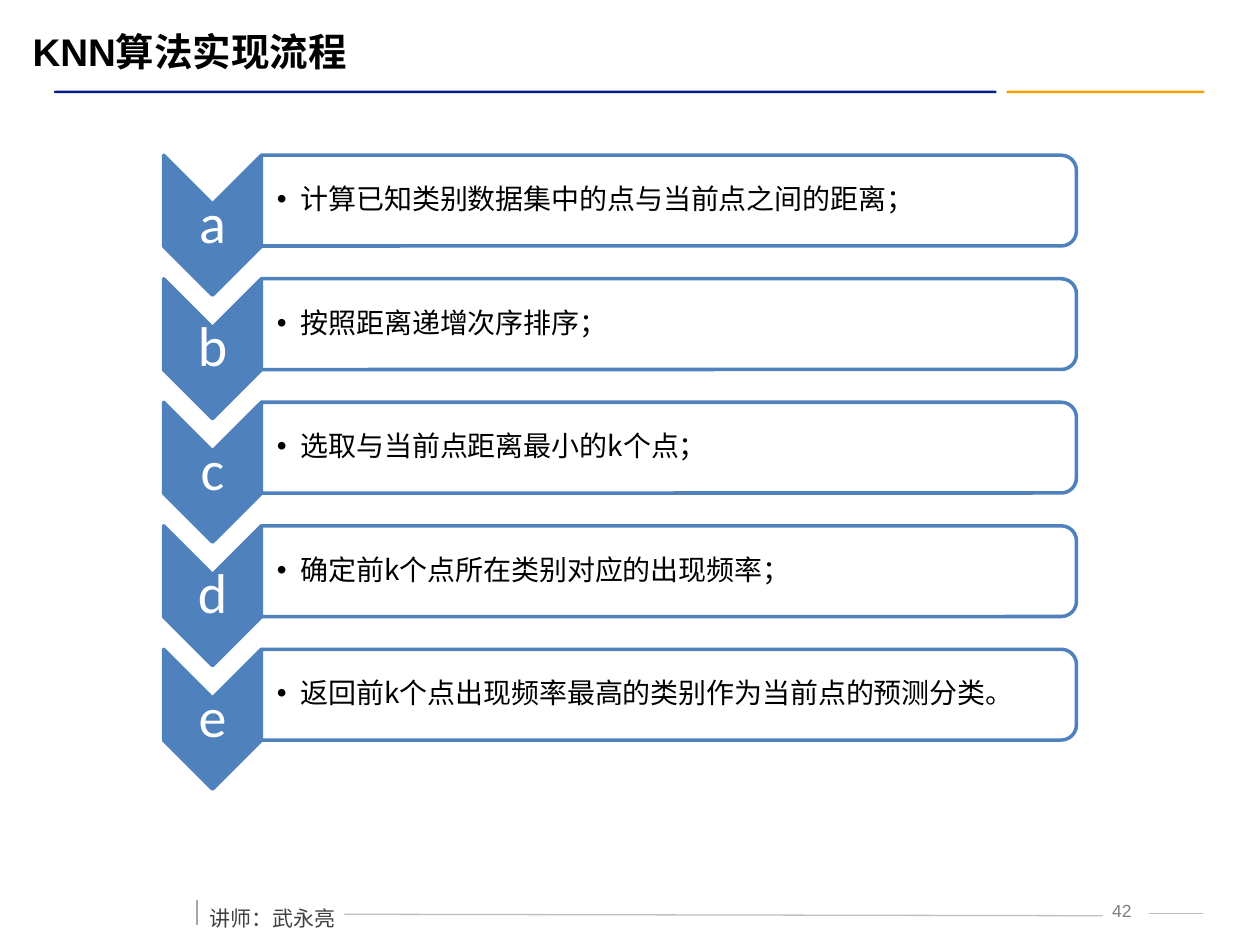
from dataclasses import dataclass

from lxml import etree
from pptx import Presentation
from pptx import util as u
from pptx.dml.color import RGBColor
from pptx.enum import shapes, text
from pptx.oxml.ns import qn

COLORS = {
    "navy": "031D89", "amber": "F5A000", "blue": "4F81BD", "white": "FFFFFF",
    "black": "000000", "footer": "404040", "number": "7F7F7F",
    "rule": "BFBFBF", "tick": "A6A6A6",
}
CHINESE_FONT = "Noto Sans CJK SC"
STEP_TOP, STEP_PITCH = 3.13, 2.49


@dataclass(frozen=True)
class Area:
    left: float
    top: float
    width: float
    height: float

    def lengths(self) -> list[u.Length]:
        return [u.Cm(value) for value in (self.left, self.top, self.width, self.height)]

    def before_quarter_turn(self) -> "Area":
        shift = (self.width - self.height) / 2
        return Area(self.left + shift, self.top - shift, self.height, self.width)


@dataclass(frozen=True)
class Step:
    letter: str
    wording: str


@dataclass(frozen=True)
class Rule:
    start: tuple[float, float]
    end: tuple[float, float]
    color: str


STEPS = [
    Step("a", "计算已知类别数据集中的点与当前点之间的距离；"),
    Step("b", "按照距离递增次序排序；"),
    Step("c", "选取与当前点距离最小的k个点；"),
    Step("d", "确定前k个点所在类别对应的出现频率；"),
    Step("e", "返回前k个点出现频率最高的类别作为当前点的预测分类。"),
]
RULES = [
    Rule((6.94, 18.43), (22.23, 18.46), "rule"),
    Rule((23.16, 18.41), (24.26, 18.41), "rule"),
    Rule((3.97, 18.15), (3.97, 18.65), "tick"),
]


def rgb(name: str) -> RGBColor:
    return RGBColor.from_string(COLORS[name])


def add_text(slide, area: Area, wording: str, *, size: float, color: str,
             font: str = CHINESE_FONT, bold: bool = False, align=text.PP_ALIGN.LEFT,
             anchor=text.MSO_ANCHOR.MIDDLE, insets=(0.25, 0.13, 0.25, 0.13),
             line_spacing: float = 1.0, space_before: float = 0,
             wrap: bool = True, bullet_indent: float = 0) -> None:
    frame = slide.shapes.add_textbox(*area.lengths()).text_frame
    frame.word_wrap = wrap
    frame.vertical_anchor = anchor
    (frame.margin_left, frame.margin_top,
     frame.margin_right, frame.margin_bottom) = map(u.Cm, insets)
    paragraph = frame.paragraphs[0]
    paragraph.alignment = align
    paragraph.line_spacing = line_spacing
    paragraph.space_before = u.Pt(space_before)
    run = paragraph.add_run()
    run.text = wording
    run.font.name = font
    run.font.size = u.Pt(size)
    run.font.bold = bold
    run.font.color.rgb = rgb(color)
    east_asian = etree.SubElement(run.font._element, qn("a:ea"))
    east_asian.set("typeface", CHINESE_FONT)
    if bullet_indent:
        properties = paragraph._p.get_or_add_pPr()
        properties.set("marL", str(u.Cm(bullet_indent)))
        properties.set("indent", str(-u.Cm(bullet_indent)))
        etree.SubElement(properties, qn("a:buFont")).set("typeface", "Arial")
        etree.SubElement(properties, qn("a:buChar")).set("char", "•")


def add_shape(slide, kind, area: Area, *, fill: str, line: str | None = None,
              quarter_turn: bool = False):
    placed = area.before_quarter_turn() if quarter_turn else area
    shape = slide.shapes.add_shape(kind, *placed.lengths())
    shape.rotation = 90 if quarter_turn else 0
    shape.shadow.inherit = False
    shape.fill.solid()
    shape.fill.fore_color.rgb = rgb(fill)
    if line:
        shape.line.color.rgb = rgb(line)
        shape.line.width = u.Pt(2)
    else:
        shape.line.fill.background()
    return shape


def add_rule(slide, rule: Rule) -> None:
    connector = slide.shapes.add_connector(
        shapes.MSO_CONNECTOR.STRAIGHT, *map(u.Cm, rule.start + rule.end))
    connector.line.color.rgb = rgb(rule.color)
    connector.line.width = u.Pt(0.75)
    etree.SubElement(connector._element.spPr, qn("a:effectLst"))


def add_step(slide, step: Step, top: float) -> None:
    add_shape(slide, shapes.MSO_SHAPE.CHEVRON, Area(3.3, top, 1.97, 2.82),
              fill="blue", line="blue", quarter_turn=True)
    add_text(slide, Area(3.3, top + 0.99, 1.97, 0.84), step.letter, size=32,
             color="white", font="Calibri", align=text.PP_ALIGN.CENTER,
             insets=(0.05,) * 4, line_spacing=0.9)
    box = add_shape(slide, shapes.MSO_SHAPE.ROUND_2_SAME_RECTANGLE,
                    Area(5.27, top, 16.43, 1.83), fill="white", line="blue",
                    quarter_turn=True)
    color = box.fill._xPr.find(qn("a:solidFill"))[0]
    etree.SubElement(color, qn("a:alpha")).set("val", "90000")
    add_text(slide, Area(5.27, top + 0.09, 16.34, 1.65), step.wording, size=16,
             color="black", insets=(0.31, 0.03, 0.03, 0.03), line_spacing=0.9,
             bullet_indent=0.48)


def main() -> None:
    presentation = Presentation()
    presentation.slide_width, presentation.slide_height = u.Cm(25.4), u.Cm(19.05)
    slide = presentation.slides.add_slide(presentation.slide_layouts[6])

    for left, width, color in ((20.29, 3.99, "amber"), (1.09, 19, "navy")):
        bar = add_shape(slide, shapes.MSO_SHAPE.ROUNDED_RECTANGLE,
                        Area(left, 1.83, width, 0.05), fill=color)
        bar.adjustments[0] = 0.5
    add_text(slide, Area(22.02, 18.01, 1.19, 0.64), "42", size=10, color="number",
             font="Arial", align=text.PP_ALIGN.CENTER, anchor=text.MSO_ANCHOR.TOP)
    for rule in RULES:
        add_rule(slide, rule)
    add_text(slide, Area(3.97, 17.88, 3.07, 0.91), "讲师：武永亮", size=12,
             color="footer", anchor=text.MSO_ANCHOR.TOP, line_spacing=1.5,
             space_before=6, wrap=False)
    add_text(slide, Area(0.41, 0.43, 23.11, 1.19), "KNN算法实现流程", size=22,
             color="black", font="Arial", bold=True)
    for index, step in enumerate(STEPS):
        add_step(slide, step, STEP_TOP + index * STEP_PITCH)

    presentation.save("out.pptx")


if __name__ == "__main__":
    main()
